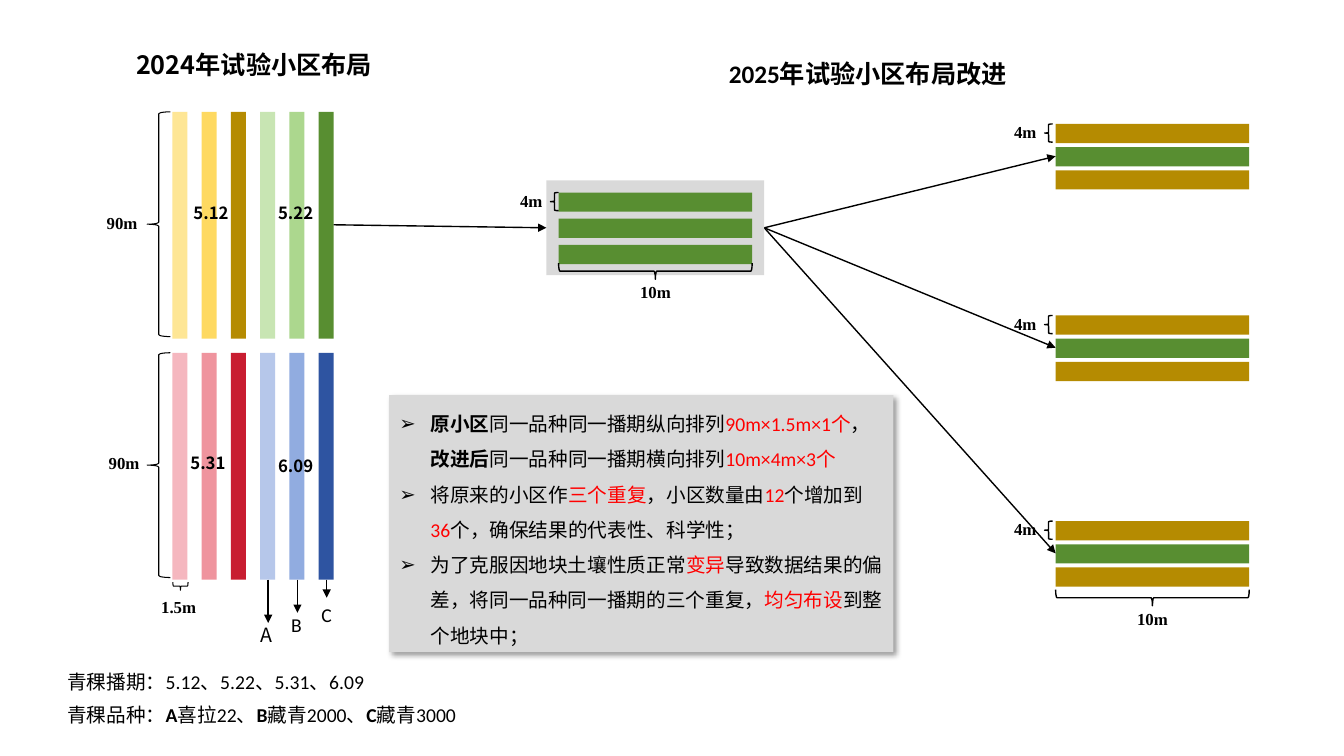
from dataclasses import dataclass
from itertools import product

from lxml.etree import SubElement
from pptx import Presentation
from pptx.dml.color import RGBColor
from pptx.enum.shapes import MSO_CONNECTOR as Connector, MSO_SHAPE as Preset
from pptx.enum.text import MSO_ANCHOR as Anchor, MSO_AUTO_SIZE as AutoSize, PP_ALIGN as Align
from pptx.oxml.ns import qn
from pptx.util import Inches, Pt

COLORS = {
    "black": "000000", "red": "FF0000", "grey": "D9D9D9",
    "gold": "B58B01", "green": "588E31",
}
COLUMN_COLORS = [
    ["FEE695", "FED961", COLORS["gold"], "C8E5B3", "ACD78E", COLORS["green"]],
    ["F5B7BF", "EF949E", "C81D31", "B6C7EA", "91ACE0", "2E54A1"],
]
CJK, LATIN, SERIF = "Noto Sans CJK SC", "Calibri", "Times New Roman"
STRIP_WIDTH, STRIP_HEIGHT = 1.92, 0.19
COLUMN_LEFT, COLUMN_PITCH, COLUMN_WIDTH, COLUMN_HEIGHT = 1.71, 0.29, 0.15, 2.25
COLUMN_TOPS = [1.11, 3.5]


@dataclass
class Span:
    text: str
    color: str = "black"
    bold: bool = False


@dataclass
class Label:
    text: str
    left: float
    top: float
    width: float
    height: float = 0.3
    font: str = SERIF
    size: int = 12
    bold: bool = True


@dataclass
class Plot:
    """Three stacked strips with a 4m brace at the left."""
    left: float
    top: float
    pitch: float
    colors: list[str]
    brace_gap: float


BULLETS = [
    [Span("原小区", bold=True), Span("同一品种同一播期纵向排列"), Span("90m×1.5m×1个", "red"),
     Span("，"), Span("改进后", bold=True), Span("同一品种同一播期横向排列"),
     Span("10m×4m×3个", "red")],
    [Span("将原来的小区作"), Span("三个重复", "red"), Span("，小区数量由"), Span("12", "red"),
     Span("个增加到"), Span("36", "red"), Span("个，确保结果的代表性、科学性；")],
    [Span("为了克服因地块土壤性质正常"), Span("变异", "red"),
     Span("导致数据结果的偏差，将同一品种同一播期的三个重复，"),
     Span("均匀布设", "red"), Span("到整个地块中；")],
]
VARIETIES = [
    Span("青稞品种："), Span("A", bold=True), Span("喜拉22、"), Span("B", bold=True),
    Span("藏青2000、"), Span("C", bold=True), Span("藏青3000"),
]
FIELD_STRIPS = [COLORS["gold"], COLORS["green"], COLORS["gold"]]
FIELD_PLOTS = [Plot(10.47, top, 0.23, FIELD_STRIPS, 0.11) for top in (1.23, 3.13, 5.17)]
CENTER_PLOT = Plot(5.54, 1.91, 0.26, [COLORS["green"]] * 3, 0.08)
LABELS = [
    Label("2025年试验小区布局改进", 7.13, 0.53, 3.39, 0.4, LATIN, 18),
    Label("90m", 0.96, 2.06, 0.58),
    Label("90m", 0.98, 4.44, 0.58),
    Label("1.5m", 1.5, 5.87, 0.58),
    Label("5.12", 1.82, 1.96, 0.62, font=CJK),
    Label("5.22", 2.66, 1.96, 0.58, font=CJK),
    Label("5.31", 1.79, 4.44, 0.58, font=CJK),
    Label("6.09", 2.66, 4.47, 0.58, font=CJK),
    Label("A", 2.49, 6.13, 0.3, 0.34, CJK, 14, False),
    Label("B", 2.79, 6.03, 0.3, 0.28, LATIN, 14, False),
    Label("C", 3.09, 5.93, 0.3, 0.35, LATIN, 14, False),
    Label("青稞播期：5.12、5.22、5.31、6.09", 0.57, 6.6, 3.83, 0.34, LATIN, 14, False),
]


def add_span(para, text: str, *, font: str = LATIN, size: int = 14,
             color: str = "black", bold: bool = False) -> None:
    run = para.add_run()
    run.text = text
    run.font.name = font
    run.font.size = Pt(size)
    run.font.bold = bold
    run.font.color.rgb = RGBColor.from_string(COLORS[color])
    SubElement(run.font._element, qn("a:ea")).set("typeface", CJK)


def place(shape, left: float, top: float, width: float, height: float) -> None:
    shape.left, shape.top = Inches(left), Inches(top)
    shape.width, shape.height = Inches(width), Inches(height)


def prepare_frame(shape, anchor: Anchor = Anchor.TOP):
    frame = shape.text_frame
    frame.word_wrap = True
    frame.auto_size = AutoSize.NONE
    frame.vertical_anchor = anchor
    frame.paragraphs[0].alignment = Align.LEFT
    return frame


def add_text_box(shapes, left: float, top: float, width: float, height: float):
    box = shapes.add_textbox(Inches(left), Inches(top), Inches(width), Inches(height))
    return prepare_frame(box).paragraphs[0]


def add_label(shapes, label: Label) -> None:
    para = add_text_box(shapes, label.left, label.top, label.width, label.height)
    add_span(para, label.text, font=label.font, size=label.size, bold=label.bold)


def add_bar(shapes, left: float, top: float, width: float, height: float, color: str) -> None:
    bar = shapes.add_shape(Preset.RECTANGLE, Inches(left), Inches(top),
                           Inches(width), Inches(height))
    bar.shadow.inherit = False
    bar.fill.solid()
    bar.fill.fore_color.rgb = RGBColor.from_string(color)
    bar.line.fill.background()


def add_brace(shapes, left: float, top: float, width: float, height: float,
              weight: float = 1, rotation: int = 0) -> None:
    brace = shapes.add_shape(Preset.LEFT_BRACE, Inches(left), Inches(top),
                             Inches(width), Inches(height))
    brace.shadow.inherit = False
    brace.fill.background()
    brace.line.color.rgb = RGBColor.from_string(COLORS["black"])
    brace.line.width = Pt(weight)
    brace.rotation = rotation


def add_arrow(shapes, start: tuple[float, float], end: tuple[float, float]) -> None:
    arrow = shapes.add_connector(Connector.STRAIGHT, *map(Inches, start + end))
    arrow.line.color.rgb = RGBColor.from_string(COLORS["black"])
    arrow.line.width = Pt(1)
    properties = arrow.element.spPr
    SubElement(properties.find(qn("a:ln")), qn("a:tailEnd")).set("type", "triangle")
    SubElement(properties, qn("a:effectLst"))


def add_plot(shapes, plot: Plot) -> None:
    for row, color in enumerate(plot.colors):
        add_bar(shapes, plot.left, plot.top + row * plot.pitch, STRIP_WIDTH, STRIP_HEIGHT, color)
    brace_left = plot.left - plot.brace_gap
    add_brace(shapes, brace_left, plot.top, 0.08, 0.18)
    add_label(shapes, Label("4m", brace_left - 0.4, plot.top - 0.07, 0.46, 0.28))


def add_length_mark(shapes, plot: Plot, bottom: float) -> None:
    """Mark the 10m length with a brace whose upper edge is at bottom."""
    add_brace(shapes, plot.left + 0.88, bottom - 0.88, 0.16, STRIP_WIDTH, rotation=270)
    add_label(shapes, Label("10m", plot.left + 0.71, bottom + 0.14, 0.6))


def fill_bullets(body) -> None:
    place(body, 3.86, 3.92, 5, 2.55)
    body.fill.solid()
    body.fill.fore_color.rgb = RGBColor.from_string(COLORS["grey"])
    body.line.fill.background()
    effects = SubElement(body.element.spPr, qn("a:effectLst"))
    shadow = SubElement(effects, qn("a:outerShdw"), blurRad=str(Pt(4)), dist=str(Pt(3)),
                        dir="2700000", algn="tl", rotWithShape="0")
    tint = SubElement(shadow, qn("a:srgbClr"), val=COLORS["black"])
    SubElement(tint, qn("a:alpha"), val="40000")
    frame = prepare_frame(body, Anchor.MIDDLE)
    for index, spans in enumerate(BULLETS):
        para = frame.add_paragraph() if index else frame.paragraphs[0]
        properties = para._p.get_or_add_pPr()
        properties.set("marL", str(Inches(0.31)))
        properties.set("indent", str(Inches(-0.31)))
        SubElement(properties, qn("a:buChar")).set("char", "➢")
        para.alignment = Align.LEFT
        para.line_spacing = 1.5
        para.space_before = Pt(0)
        for span in spans:
            add_span(para, span.text, color=span.color, bold=span.bold)


def main() -> None:
    deck = Presentation()
    deck.slide_width, deck.slide_height = Inches(13.33), Inches(7.5)
    page = deck.slides.add_slide(deck.slide_layouts[1])
    shapes = page.shapes
    place(shapes.title, 1.25, 0.44, 2.81, 0.4)
    add_span(prepare_frame(shapes.title).paragraphs[0], "2024年试验小区布局",
             font=CJK, size=18, bold=True)
    fill_bullets(page.placeholders[1])

    for plot in FIELD_PLOTS:
        add_plot(shapes, plot)
        add_arrow(shapes, (7.58, 2.26), (plot.left, plot.top + 0.32))
    add_length_mark(shapes, FIELD_PLOTS[-1], 5.85)
    add_bar(shapes, 5.42, 1.79, 2.16, 0.94, COLORS["grey"])
    add_plot(shapes, CENTER_PLOT)
    add_length_mark(shapes, CENTER_PLOT, 2.61)

    for row, column in product(range(2), range(6)):
        add_bar(shapes, COLUMN_LEFT + column * COLUMN_PITCH, COLUMN_TOPS[row],
                COLUMN_WIDTH, COLUMN_HEIGHT, COLUMN_COLORS[row][column])
    for top in COLUMN_TOPS:
        add_brace(shapes, 1.46, top, 0.23, 2.23, weight=0.75)
    add_brace(shapes, 1.75, 5.74, 0.08, COLUMN_WIDTH, weight=0.75, rotation=270)
    for index, tip in enumerate((6.18, 6.08, 5.93)):
        center = 2.66 + index * COLUMN_PITCH
        add_arrow(shapes, (center, 5.75), (center, tip))
    add_arrow(shapes, (3.31, 2.23), (5.42, 2.26))

    for label in LABELS:
        add_label(shapes, label)
    para = add_text_box(shapes, 0.57, 6.92, 4.3, 0.34)
    for span in VARIETIES:
        add_span(para, span.text, bold=span.bold)
    deck.save("out.pptx")


if __name__ == "__main__":
    main()
